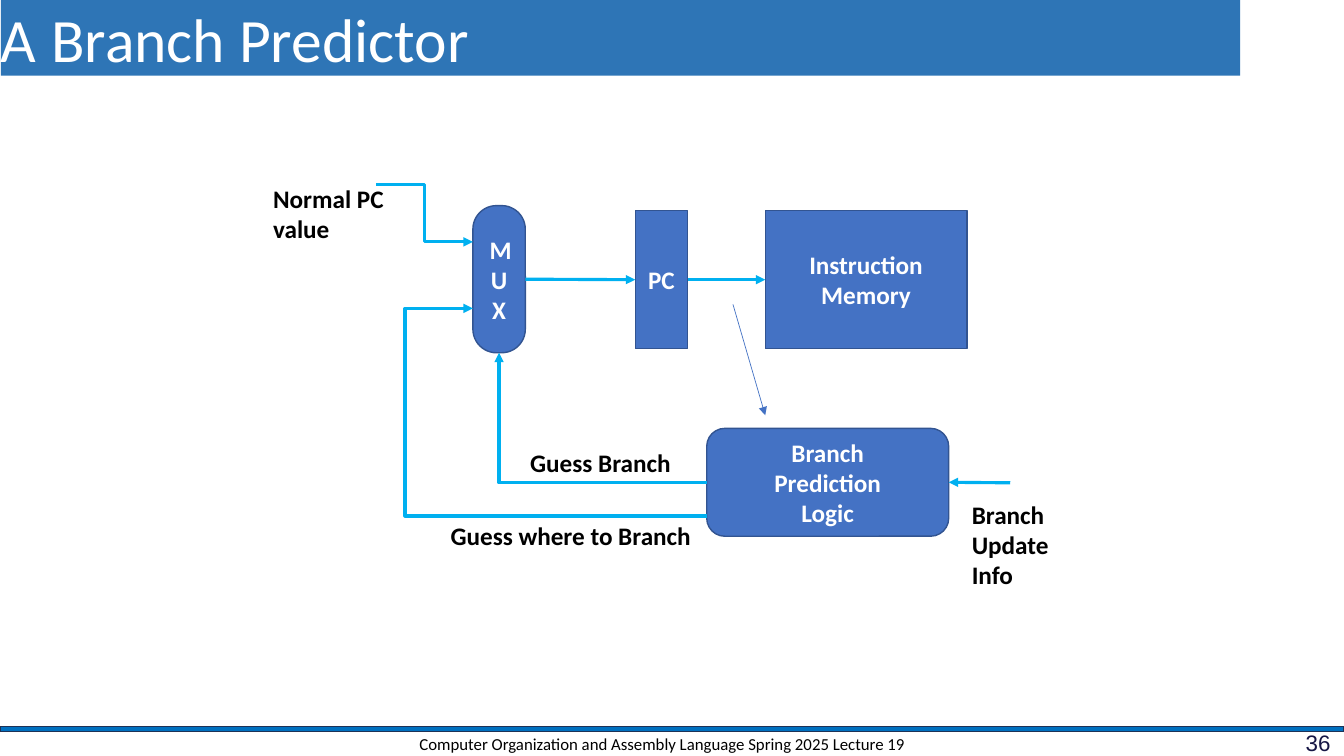
from lxml.etree import SubElement
from pptx import Presentation
from pptx.dml.color import RGBColor
from pptx.enum.shapes import MSO_CONNECTOR as LINK, MSO_SHAPE as SHAPE
from pptx.enum.text import MSO_ANCHOR as ANCHOR, MSO_AUTO_SIZE as FIT, PP_ALIGN as ALIGN
from pptx.oxml.ns import qn
from pptx.util import Emu, Pt

PX = 9144  # 100 px to the inch
WIDE, HIGH = 1333, 750
HUES = {
    "title": "2E75B6", "band": "0070C0", "edge": "1E3256", "number": "161645",
    "block": "4472C4", "rim": "325491", "wire": "00B0F0",
    "white": "FFFFFF", "black": "000000",
}


def px(*sizes):
    return [Emu(size * PX) for size in sizes]


def hue(name):
    return RGBColor.from_string(HUES[name])


def write(shape, text, size, color, bold=False, align=None, font="Calibri"):
    """Put one paragraph per line of text into the shape."""
    frame = shape.text_frame
    frame.text = text
    for para in frame.paragraphs:
        para.alignment = align
        para.font.name, para.font.size, para.font.bold = font, Pt(size), bold
        para.font.color.rgb = hue(color)
    return frame


def panel(slide, kind, box, fill, rim=None):
    shape = slide.shapes.add_shape(kind, *px(*box))
    shape.shadow.inherit = False
    shape.fill.solid()
    shape.fill.fore_color.rgb = hue(fill)
    if rim:
        shape.line.color.rgb = hue(rim)
        shape.line.width = Pt(1)
    else:
        shape.line.fill.background()
    return shape


def trim(frame):
    frame.margin_left = frame.margin_right = frame.margin_top = frame.margin_bottom = 0
    frame.vertical_anchor = ANCHOR.MIDDLE


def heading(slide, box):
    bar = panel(slide, SHAPE.RECTANGLE, box, "title")
    frame = write(bar, "A\tBranch Predictor", 44, "white", align=ALIGN.LEFT)
    trim(frame)
    para = frame.paragraphs[0]
    para.space_before = Pt(0.9)
    props = para._p.get_or_add_pPr()
    stops = props.makeelement(qn("a:tabLst"), {})
    props.find(qn("a:defRPr")).addprevious(stops)
    SubElement(stops, qn("a:tab"), pos=str(50 * PX), algn="l")


def footer(slide, box):
    x, y, w, h = box
    panel(slide, SHAPE.RECTANGLE, (x, y, w, 5), "band", "edge")
    note = slide.shapes.add_textbox(*px(x + 392, y + 3, 530, 28))
    course = "Computer Organization and Assembly Language Spring 2025 Lecture 19"
    frame = write(note, course, 12, "black", align=ALIGN.CENTER)
    frame.word_wrap, frame.vertical_anchor = True, ANCHOR.MIDDLE
    page = slide.shapes.add_textbox(*px(x + 1291, y + 6, 33, 24))
    frame = write(page, "36", 16, "number", font="Arial")
    trim(frame)
    frame.margin_left = px(4)[0]
    frame.word_wrap = True
    frame.paragraphs[0].line_spacing = Pt(16.5)


def arrow(slide, start, end, kind=LINK.STRAIGHT, color="wire", width=2.25):
    link = slide.shapes.add_connector(kind, *px(*start, *end))
    link.line.color.rgb = hue(color)
    link.line.width = Pt(width)
    SubElement(link.line._get_or_add_ln(), qn("a:tailEnd"), type="triangle")
    SubElement(link._element.spPr, qn("a:effectLst"))
    return link


def bend(link, preset, turn=None):
    """Set the elbow's preset and where it turns, as a share of its width."""
    geom = link._element.spPr.find(qn("a:prstGeom"))
    geom.set("prst", preset)
    if turn:
        SubElement(geom.find(qn("a:avLst")), qn("a:gd"),
                   name="adj1", fmla=f"val {round(turn * 100000)}")


def diagram(slide, box):
    left, top = box[:2]

    def at(x, y):
        return left + x, top + y

    def block(kind, x, y, w, h, text):
        shape = panel(slide, kind, (*at(x, y), w, h), "block", "rim")
        frame = write(shape, text, 18, "white", True, ALIGN.CENTER)
        frame.word_wrap, frame.vertical_anchor = True, ANCHOR.MIDDLE
        return shape

    mux = block(SHAPE.ROUNDED_RECTANGLE, 208, 27, 52, 146, "MUX")
    mux.adjustments[0] = 0.45
    pc = block(SHAPE.RECTANGLE, 369, 32, 52, 137, "PC")
    memory = block(SHAPE.RECTANGLE, 498, 32, 200, 137, "Instruction\nMemory")
    logic = block(SHAPE.ROUNDED_RECTANGLE, 440, 248, 240, 107, "Branch\nPrediction\nLogic")

    guess = arrow(slide, at(440, 302), at(234, 173), LINK.ELBOW)
    bend(guess, "bentConnector2")
    arrow(slide, at(112, 6), at(208, 63), LINK.ELBOW)
    target = arrow(slide, at(440, 335), at(208, 129), LINK.ELBOW)
    bend(target, "bentConnector3", 1.29)

    for source, sink, x, end in ((mux, pc, 260, 369), (pc, memory, 421, 498)):
        link = arrow(slide, at(x, 100), at(end, 100))
        link.begin_connect(source, 3)
        link.end_connect(sink, 1)
    arrow(slide, at(741, 302), at(680, 302)).end_connect(logic, 3)
    arrow(slide, at(466, 125), at(498, 235), color="block", width=0.5)

    for x, y, w, h, text in (
        (255, 262, 161, 40, "Guess Branch"),
        (0, 0, 131, 71, "Normal PC\nvalue"),
        (176, 334, 261, 40, "Guess where to Branch"),
        (693, 313, 97, 101, "Branch\nUpdate\nInfo"),
    ):
        label = slide.shapes.add_textbox(*px(*at(x, y), w, h))
        frame = write(label, text, 18, "black", True)
        frame.word_wrap, frame.auto_size = False, FIT.SHAPE_TO_FIT_TEXT


def main():
    deck = Presentation()
    deck.slide_width, deck.slide_height = px(WIDE, HIGH)
    slide = deck.slides.add_slide(deck.slide_layouts[6])
    footer(slide, (0, 721, WIDE, 29))
    heading(slide, (1, 0, 1229, 75))
    diagram(slide, (261, 177, 790, 414))
    deck.save("out.pptx")


if __name__ == "__main__":
    main()
